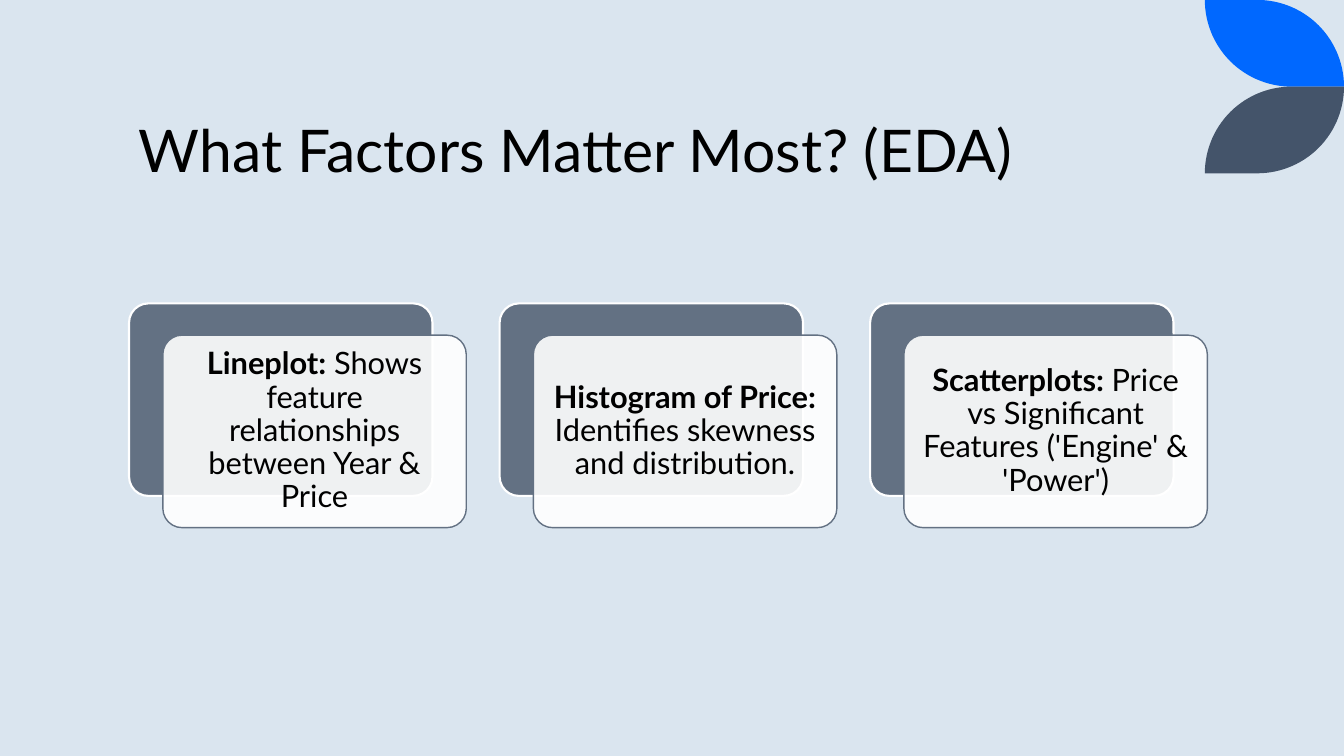
from math import cos, radians, sin

from lxml import etree
from pptx import Presentation
from pptx.dml.color import RGBColor
from pptx.enum.shapes import MSO_SHAPE
from pptx.enum.text import MSO_ANCHOR, PP_ALIGN
from pptx.oxml.ns import qn
from pptx.util import Inches, Pt

ROUNDED = MSO_SHAPE.ROUNDED_RECTANGLE
MIDDLE, BOTTOM = MSO_ANCHOR.MIDDLE, MSO_ANCHOR.BOTTOM
LEFT, CENTER = PP_ALIGN.LEFT, PP_ALIGN.CENTER

PALE_BLUE = RGBColor(0xDA, 0xE5, 0xEF)
BLUE = RGBColor(0x00, 0x68, 0xFF)
NAVY = RGBColor(0x44, 0x54, 0x6A)
SLATE = RGBColor(0x63, 0x71, 0x83)
WHITE = RGBColor(0xFF, 0xFF, 0xFF)
BLACK = RGBColor(0x00, 0x00, 0x00)

FONT = "Lato"
SLIDE_W, SLIDE_H = 13.33, 7.5
MARGIN = 1.28
CONTENT_W = 10.69
COLUMN_PITCH = 3.675
CARD_W, CARD_H = 3.01, 1.91
OFFSET_X, OFFSET_Y = 0.335, 0.315
CARD_PADDING = 0.055
TEXT_INSET = 0.09

FACTORS = [
    ("Lineplot:", " Shows feature relationships between Year & Price"),
    ("Histogram of Price:", " Identifies skewness and distribution."),
    ("Scatterplots: ", "Price vs Significant Features ('Engine' & 'Power')"),
]


def add_leaf(slide, left, top, width, height, color, flipped=False):
    def arc(center_x, center_y, start, end):
        steps = range(31)
        angles = [radians(start + (end - start) * i / 30) for i in steps]
        return [(center_x + height * cos(a), center_y + height * sin(a)) for a in angles]

    outline = [(0, 0)] + arc(width - height, height, -90, 0) + arc(height, 0, 90, 180)
    points = [
        (Inches(left + x), Inches(top + (height - y if flipped else y)))
        for x, y in outline
    ]
    builder = slide.shapes.build_freeform(*points[0])
    builder.add_line_segments(points[1:], close=True)
    leaf = builder.convert_to_shape()
    leaf.shadow.inherit = False
    leaf.fill.solid()
    leaf.fill.fore_color.rgb = color
    leaf.line.fill.background()


def add_corner_leaves(slide, left, top, width, height):
    leaf_h = height / 2
    add_leaf(slide, left, top, width, leaf_h, BLUE)
    add_leaf(slide, left, top + leaf_h, width, leaf_h, NAVY, flipped=True)


def add_text(slide, left, top, width, height, parts, size, spacing, align, anchor):
    box = slide.shapes.add_textbox(*map(Inches, (left, top, width, height)))
    frame = box.text_frame
    frame.word_wrap = True
    frame.vertical_anchor = anchor
    paragraph = frame.paragraphs[0]
    paragraph.alignment = align
    paragraph.line_spacing = spacing
    for words, bold in parts:
        run = paragraph.add_run()
        run.text = words
        run.font.name = FONT
        run.font.size = Pt(size)
        run.font.bold = bold
        run.font.color.rgb = BLACK
    return frame


def add_panel(slide, left, top, fill, line, line_width):
    panel = slide.shapes.add_shape(ROUNDED, *map(Inches, (left, top, CARD_W, CARD_H)))
    panel.adjustments[0] = 0.1
    panel.shadow.inherit = False
    panel.fill.solid()
    panel.fill.fore_color.rgb = fill
    panel.line.color.rgb = line
    panel.line.width = Pt(line_width)
    return panel


def add_factor(slide, left, top, label, detail):
    add_panel(slide, left, top, SLATE, WHITE, 1.5)
    front_left, front_top = left + OFFSET_X, top + OFFSET_Y
    front = add_panel(slide, front_left, front_top, WHITE, SLATE, 1)
    color = front.fill._xPr.find(qn("a:solidFill"))[0]
    etree.SubElement(color, qn("a:alpha")).set("val", "90000")
    frame = add_text(
        slide, front_left + CARD_PADDING, front_top + CARD_PADDING,
        CARD_W - 2 * CARD_PADDING, CARD_H - 2 * CARD_PADDING,
        [(label, True), (detail, False)], 22, 0.9, CENTER, MIDDLE,
    )
    frame.margin_left = frame.margin_right = Inches(TEXT_INSET)
    frame.margin_top = frame.margin_bottom = Inches(TEXT_INSET)


def add_factors(slide, left, top):
    for column, (label, detail) in enumerate(FACTORS):
        add_factor(slide, left + column * COLUMN_PITCH, top, label, detail)


def main():
    deck = Presentation()
    deck.slide_width, deck.slide_height = Inches(SLIDE_W), Inches(SLIDE_H)
    slide = deck.slides.add_slide(deck.slide_layouts[6])
    slide.background.fill.solid()
    slide.background.fill.fore_color.rgb = PALE_BLUE
    add_corner_leaves(slide, SLIDE_W - 1.38, 0, 1.38, 1.72)
    add_text(
        slide, MARGIN, 0.15, CONTENT_W, 1.72,
        [("What Factors Matter Most? (EDA)", False)], 42, 0.8, LEFT, BOTTOM,
    )
    add_factors(slide, MARGIN, 3.01)
    deck.save("out.pptx")


if __name__ == "__main__":
    main()
